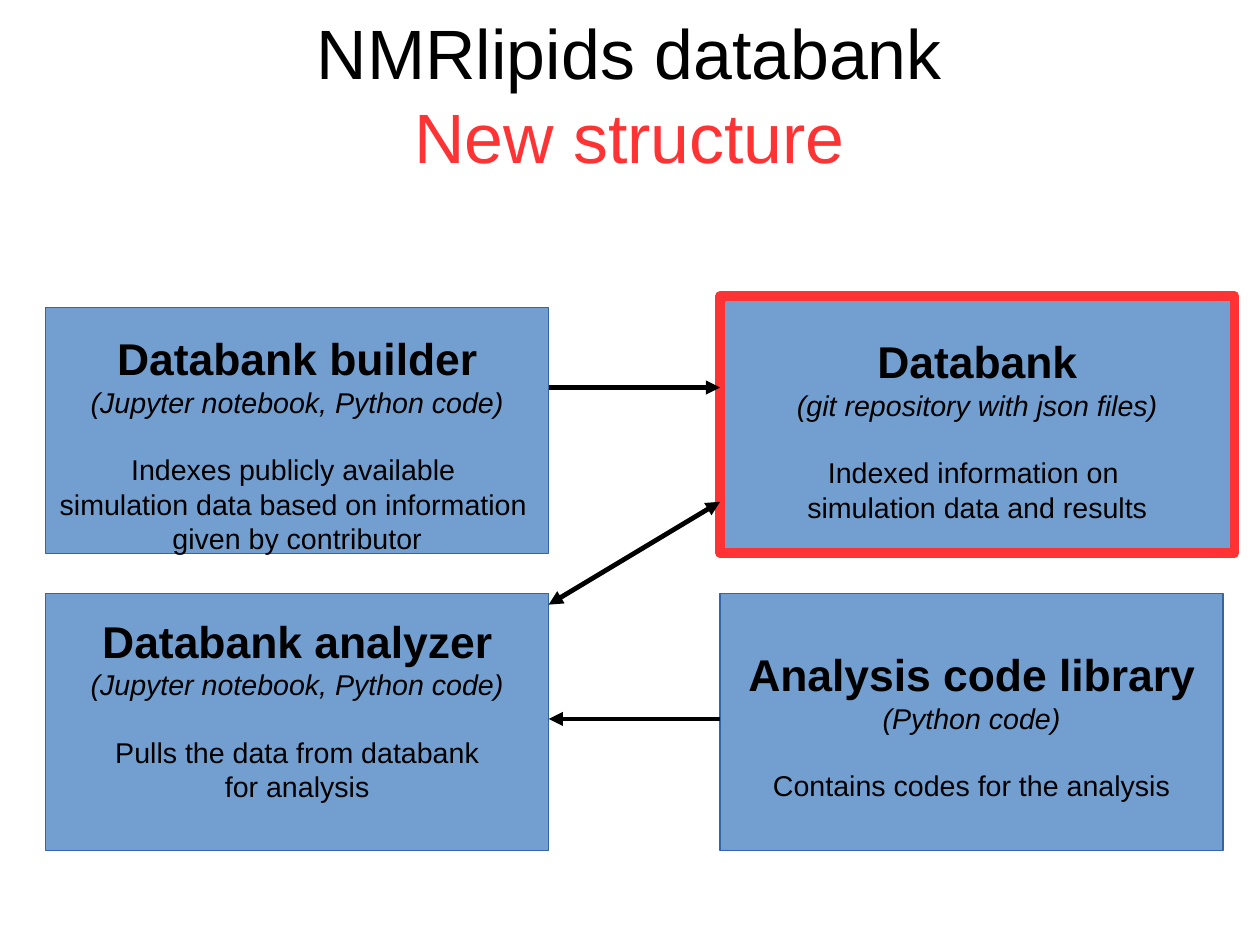
import pptx
import pptx.dml.color
import pptx.enum.shapes
import pptx.enum.text
import pptx.oxml
import pptx.oxml.ns
import pptx.util

Pt = pptx.util.Pt
COLORS = {"black": "000000", "red": "FF3333", "fill": "729FCF", "edge": "3465A4"}
FONT = "Arial"
TITLE_SIZE, HEAD_SIZE, BODY_SIZE = 44, 28, 18

LEFT_X, RIGHT_X = 28.8, 453.6
BOX_W, BOX_H = 316.8, 162
LEFT_EDGE = LEFT_X + BOX_W
LOWER_Y = 373.7


def rgb(name):
    return pptx.dml.color.RGBColor.from_string(COLORS[name])


class Deck:
    def __init__(self, width, height):
        self.prs = pptx.Presentation()
        self.prs.slide_width, self.prs.slide_height = Pt(width), Pt(height)
        self.s = self.prs.slides.add_slide(self.prs.slide_layouts[5])

    def run(self, p, text, size, color="black", bold=False, italic=False):
        r = p.add_run()
        r.text = text
        r.font.name, r.font.size = FONT, Pt(size)
        r.font.bold, r.font.italic = bold, italic
        r.font.color.rgb = rgb(color)

    def frame(self, tf, anchor, insets):
        tf.vertical_anchor = anchor
        tf.margin_left, tf.margin_top, tf.margin_right, tf.margin_bottom = map(Pt, insets)

    def title(self, x, y, w, h, first, second):
        sp = self.s.shapes.title
        sp.left, sp.top, sp.width, sp.height = map(Pt, (x, y, w, h))
        tf = sp.text_frame
        self.frame(tf, pptx.enum.text.MSO_ANCHOR.MIDDLE, (0, 0, 0, 0))
        p = tf.paragraphs[0]
        p.alignment = pptx.enum.text.PP_ALIGN.CENTER
        self.run(p, first, TITLE_SIZE)
        p.add_line_break()
        self.run(p, second, TITLE_SIZE, "red")

    def box(self, x, y, h, head, kind, lines, top, edge="edge", edge_width=0):
        """Draw a box with a heading, its kind in italics and description lines."""
        sp = self.s.shapes.add_shape(pptx.enum.shapes.MSO_SHAPE.RECTANGLE,
                                     Pt(x), Pt(y), Pt(BOX_W), Pt(h))
        sp.shadow.inherit = False
        sp.fill.solid()
        sp.fill.fore_color.rgb = rgb("fill")
        sp.line.color.rgb = rgb(edge)
        sp.line.width = Pt(edge_width)
        if edge_width:
            pptx.oxml.ns  # namespace helpers serve the round join below
            sp.line._get_or_add_ln().append(self.element("a:round"))
        tf = sp.text_frame
        tf.word_wrap = False
        self.frame(tf, pptx.enum.text.MSO_ANCHOR.TOP, (7.2, top, 7.2, 0))
        for i, text in enumerate([head, kind, *lines]):
            p = tf.paragraphs[0] if i == 0 else tf.add_paragraph()
            p.alignment = pptx.enum.text.PP_ALIGN.CENTER
            if i == 2:
                p.space_before = Pt(21)
            self.run(p, text, HEAD_SIZE if i == 0 else BODY_SIZE,
                     bold=i == 0, italic=i == 1)
        return sp

    def element(self, tag, **attrs):
        el = pptx.oxml.parse_xml(f"<{tag} {pptx.oxml.ns.nsdecls('a')}/>")
        for key, value in attrs.items():
            el.set(key, value)
        return el

    def arrow(self, x1, y1, x2, y2, both=False):
        c = self.s.shapes.add_connector(pptx.enum.shapes.MSO_CONNECTOR.STRAIGHT,
                                        Pt(x1), Pt(y1), Pt(x2), Pt(y2))
        c.line.color.rgb = rgb("black")
        c.line.width = Pt(3)
        ln = c.line._get_or_add_ln()
        for tag in ["a:headEnd", "a:tailEnd"] if both else ["a:tailEnd"]:
            ln.append(self.element(tag, type="triangle"))
        ln.getparent().append(self.element("a:effectLst"))


def main():
    deck = Deck(793.7, 595.3)
    deck.title(39.6, 9.4, 714.2, 99.4, "NMRlipids databank", "New structure")
    deck.box(RIGHT_X, 186.5, BOX_H, "Databank", "(git repository with json files)",
             ["Indexed information on ", "simulation data and results"],
             24, "red", 6).width = Pt(324)
    deck.box(LEFT_X, 193.7, 154.8, "Databank builder", "(Jupyter notebook, Python code)",
             ["Indexes publicly available ", "simulation data based on information ",
              "given by contributor"], 15)
    deck.box(LEFT_X, LOWER_Y, BOX_H, "Databank analyzer", "(Jupyter notebook, Python code)",
             ["Pulls the data from databank", "for analysis"], 13)
    deck.box(RIGHT_X, LOWER_Y, BOX_H, "Analysis code library", "(Python code)",
             ["Contains codes for the analysis"], 34)
    deck.arrow(LEFT_EDGE, 244.1, RIGHT_X, 244.1)
    deck.arrow(RIGHT_X, 316.1, LEFT_EDGE, 380.9, both=True)
    deck.arrow(RIGHT_X, 452.9, LEFT_EDGE, 452.9)
    deck.prs.save("out.pptx")


if __name__ == "__main__":
    main()
